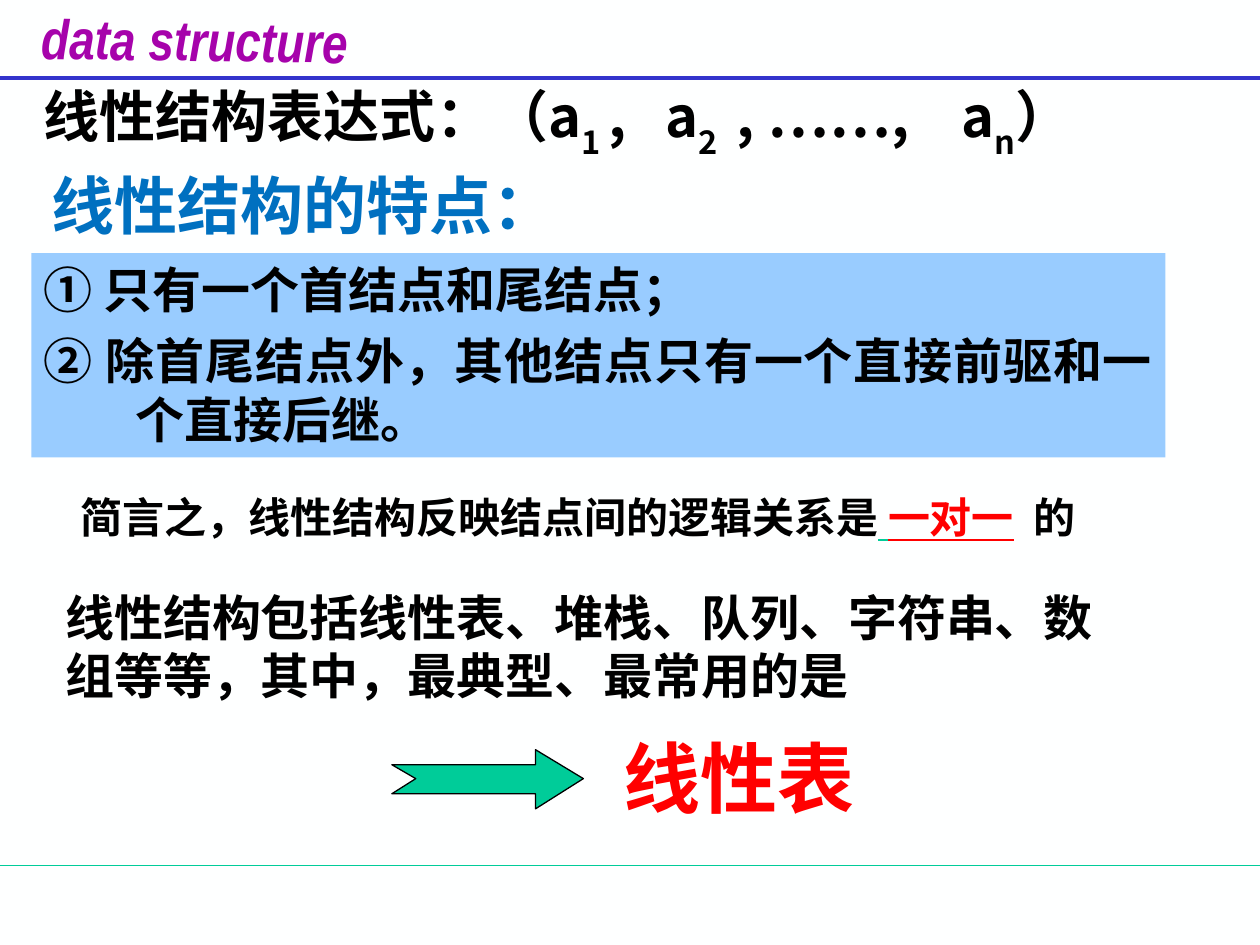
from pptx import Presentation
from pptx.dml.color import RGBColor
from pptx.enum.shapes import MSO_CONNECTOR, MSO_SHAPE
from pptx.enum.text import MSO_ANCHOR, MSO_AUTO_SIZE, PP_ALIGN
from pptx.oxml.ns import qn
from pptx.util import Inches, Pt

STRAIGHT = MSO_CONNECTOR.STRAIGHT
RECTANGLE = MSO_SHAPE.RECTANGLE
MIDDLE, TOP = MSO_ANCHOR.MIDDLE, MSO_ANCHOR.TOP
NO_RESIZE = MSO_AUTO_SIZE.NONE
LEFT, CENTER, JUSTIFY = PP_ALIGN.LEFT, PP_ALIGN.CENTER, PP_ALIGN.JUSTIFY

PAPER = RGBColor(0xFE, 0xFF, 0xFF)
BLACK = RGBColor(0x00, 0x00, 0x00)
RED = RGBColor(0xFF, 0x00, 0x00)
GREEN = RGBColor(0x00, 0xCC, 0x99)
HEADER_BLUE = RGBColor(0x33, 0x33, 0xCC)
HEADING_BLUE = RGBColor(0x00, 0x70, 0xC0)
PANEL_BLUE = RGBColor(0x99, 0xCC, 0xFF)
PURPLE = RGBColor(0xA6, 0x03, 0xAB)

BODY_FONT = "Noto Sans CJK SC"
HEADER_FONT = "Arial Narrow"
SUBSCRIPT = "-30000"


def add_rule(slide, y, color, width):
    """Draw a line across the whole slide."""
    rule = slide.shapes.add_connector(STRAIGHT, 0, Inches(y), Inches(10), Inches(y))
    rule.line.color.rgb = color
    rule.line.width = Pt(width)
    properties = rule._element.spPr
    properties.append(properties.makeelement(qn("a:effectLst"), {}))


def add_tab_stops(paragraph, positions):
    properties = paragraph._p.get_or_add_pPr()
    stops = properties.makeelement(qn("a:tabLst"), {})
    for position in positions:
        stop = stops.makeelement(
            qn("a:tab"), {"pos": str(Inches(position)), "algn": "l"})
        stops.append(stop)
    properties.append(stops)


def style(paragraph, size, color, align=LEFT, name=BODY_FONT):
    paragraph.alignment = align
    font = paragraph.font
    font.size = Pt(size)
    font.bold = True
    font.name = name
    if color is not None:
        font.color.rgb = color
    defaults = paragraph._p.pPr.find(qn("a:defRPr"))
    east_asian = defaults.makeelement(qn("a:ea"), {"typeface": name})
    defaults.find(qn("a:latin")).addnext(east_asian)


def add_text(slide, box, text, size, color, align=LEFT, name=BODY_FONT,
             wrap=True, anchor=TOP, tabs=()):
    """Add a one-paragraph text box; return its shape and paragraph."""
    label = slide.shapes.add_textbox(*map(Inches, box))
    frame = label.text_frame
    frame.word_wrap = wrap
    frame.auto_size = NO_RESIZE
    frame.vertical_anchor = anchor
    paragraph = frame.paragraphs[0]
    if tabs:
        add_tab_stops(paragraph, tabs)
    style(paragraph, size, color, align, name)
    if text:
        paragraph.add_run().text = text
    return label, paragraph


def add_header(slide):
    add_rule(slide, 6.87, GREEN, 0.75)
    add_rule(slide, 0.62, HEADER_BLUE, 2.25)
    header, paragraph = add_text(slide, (0.23, -0.01, 2.29, 0.54), "data structure",
                                 32, PURPLE, name=HEADER_FONT, wrap=False)
    paragraph.font.italic = True
    header.rotation = 0.8


def add_expression(slide):
    """Write the linear sequence with its subscripts."""
    _, paragraph = add_text(slide, (0.25, 0.6, 9.75, 0.73), "", 32, BLACK,
                            tabs=(4.93, 5.5, 7.28))
    pieces = [("线性结构表达式：（a", False), ("1 ", True), (",\ta", False), ("2", True),
              ("\t, ……,\ta", False), ("n", True), ("）", False)]
    for text, is_subscript in pieces:
        run = paragraph.add_run()
        run.text = text
        if is_subscript:
            run._r.get_or_add_rPr().set("baseline", SUBSCRIPT)


def add_features(slide, features):
    panel = slide.shapes.add_shape(
        RECTANGLE, Inches(0.25), Inches(2.01), Inches(9), Inches(1.62))
    panel.shadow.inherit = False
    panel.fill.solid()
    panel.fill.fore_color.rgb = PANEL_BLUE
    panel.line.fill.background()
    frame = panel.text_frame
    frame.word_wrap = True
    frame.vertical_anchor = TOP
    for index, feature in enumerate(features):
        paragraph = frame.add_paragraph() if index else frame.paragraphs[0]
        if index:
            paragraph.space_before = Pt(7)
        properties = paragraph._p.get_or_add_pPr()
        properties.set("marL", str(Inches(0.73)))
        properties.set("indent", str(Inches(-0.73)))
        style(paragraph, 28, BLACK, JUSTIFY)
        paragraph.add_run().text = feature


def add_summary(slide):
    """State the logical relation, with the answer underlined in red."""
    _, paragraph = add_text(slide, (0.54, 3.85, 8.09, 0.5), "", 24, None,
                            wrap=False, tabs=(7.56,))
    pieces = [("简言之，线性结构反映结点间的逻辑关系是", BLACK, False),
              (" ", GREEN, True), ("一对一\t", RED, True), ("的", BLACK, False)]
    for text, color, underlined in pieces:
        run = paragraph.add_run()
        run.text = text
        run.font.color.rgb = color
        if underlined:
            run.font.underline = True


def add_arrow(slide):
    left, neck, tip, notch = 3.11, 4.25, 4.63, 3.3
    top, shaft_top, middle, shaft_bottom, bottom = 5.95, 6.07, 6.18, 6.3, 6.42
    outline = [(neck, shaft_top), (neck, top), (tip, middle), (neck, bottom),
               (neck, shaft_bottom), (left, shaft_bottom), (notch, middle)]
    builder = slide.shapes.build_freeform(Inches(left), Inches(shaft_top))
    builder.add_line_segments([(Inches(x), Inches(y)) for x, y in outline], close=True)
    arrow = builder.convert_to_shape()
    arrow.shadow.inherit = False
    arrow.fill.solid()
    arrow.fill.fore_color.rgb = GREEN
    arrow.line.color.rgb = BLACK
    arrow.line.width = Pt(0.75)


def main():
    deck = Presentation()
    deck.slide_width, deck.slide_height = Inches(10), Inches(7.5)
    slide = deck.slides.add_slide(deck.slide_layouts[6])
    slide.background.fill.solid()
    slide.background.fill.fore_color.rgb = PAPER

    add_header(slide)
    add_text(slide, (0.25, 1.23, 4.32, 0.78), "线性结构的特点：", 36, HEADING_BLUE,
             CENTER, anchor=MIDDLE)
    add_features(slide, ["① 只有一个首结点和尾结点；",
                         "② 除首尾结点外，其他结点只有一个直接前驱和一个直接后继。"])
    add_expression(slide)
    add_text(slide, (0.42, 4.61, 8.67, 1.04),
             "线性结构包括线性表、堆栈、队列、字符串、数组等等，其中，最典型、最常用的是",
             28, BLACK)
    add_text(slide, (4.85, 5.75, 2.03, 0.84), "线性表", 44, RED, CENTER, wrap=False)
    add_summary(slide)
    add_arrow(slide)
    deck.save("out.pptx")


if __name__ == "__main__":
    main()
